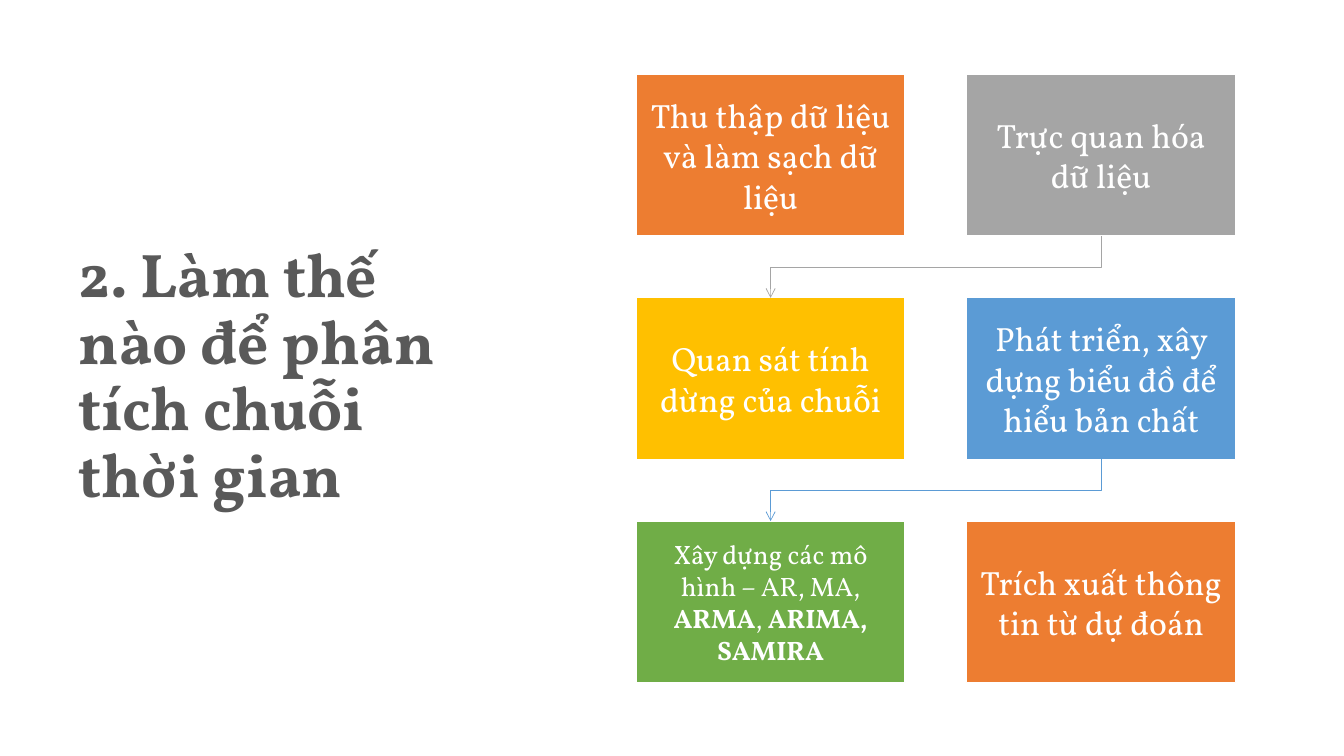
from pptx import Presentation
from pptx import util as u
from pptx.dml.color import RGBColor
from pptx.enum import shapes, text
from pptx.oxml import ns
from lxml import etree

ORANGE = RGBColor(0xED, 0x7D, 0x31)
GRAY = RGBColor(0xA5, 0xA5, 0xA5)
GOLD = RGBColor(0xFF, 0xC0, 0x00)
BLUE = RGBColor(0x5B, 0x9B, 0xD5)
GREEN = RGBColor(0x70, 0xAD, 0x47)
WHITE = RGBColor(0xFF, 0xFF, 0xFF)
DARK = RGBColor(0x59, 0x59, 0x59)
FONT = "Vollkorn"

STEPS = [
    (ORANGE, 24, [("Thu thập dữ liệu và làm sạch dữ liệu", False)]),
    (GRAY, 24, [("Trực quan hóa dữ liệu", False)]),
    (GOLD, 24, [("Quan sát tính dừng của chuỗi", False)]),
    (BLUE, 24, [("Phát triển, xây dựng biểu đồ để hiểu bản chất", False)]),
    (GREEN, 19, [("Xây dựng các mô hình – AR, MA, ", False), ("ARMA", True),
                 (", ", False), ("ARIMA, SAMIRA", True)]),
    (ORANGE, 24, [("Trích xuất thông tin từ dự đoán", False)]),
]


def add_run(paragraph, wording, size, color, bold):
    run = paragraph.add_run()
    run.text = wording
    run.font.name = FONT
    run.font.size = u.Pt(size)
    run.font.bold = bold
    run.font.color.rgb = color


def add_heading(slide, left, top, width, height):
    heading = slide.shapes.title
    heading.left, heading.top = left, top
    heading.width, heading.height = width, height
    frame = heading.text_frame
    frame.word_wrap = True
    frame.auto_size = text.MSO_AUTO_SIZE.NONE
    frame.vertical_anchor = text.MSO_ANCHOR.MIDDLE
    question = frame.paragraphs[0]
    question.alignment = text.PP_ALIGN.LEFT
    question.line_spacing = 0.9
    add_run(question, "2. Làm thế nào để phân tích chuỗi thời gian", 44, DARK, True)


def add_step(slide, left, top, width, height, color, size, wording):
    step = slide.shapes.add_shape(shapes.MSO_SHAPE.RECTANGLE, left, top, width, height)
    step.shadow.inherit = False
    step.fill.solid()
    step.fill.fore_color.rgb = color
    step.line.color.rgb = WHITE
    step.line.width = u.Pt(1)
    frame = step.text_frame
    frame.word_wrap = True
    frame.vertical_anchor = text.MSO_ANCHOR.MIDDLE
    frame.margin_left = frame.margin_right = u.Cm(0.33)
    frame.margin_top = frame.margin_bottom = u.Cm(0.36)
    label = frame.paragraphs[0]
    label.alignment = text.PP_ALIGN.CENTER
    for words, bold in wording:
        add_run(label, words, size, WHITE, bold)
    return step


def add_turn(slide, start, end, color):
    start_x, start_y = start.left + start.width // 2, start.top + start.height
    end_x, end_y = end.left + end.width // 2, end.top
    middle_x, middle_y = (start_x + end_x) // 2, (start_y + end_y) // 2
    half_drop, half_run = (end_y - start_y) // 2, (start_x - end_x) // 2
    turn = slide.shapes.add_connector(
        shapes.MSO_CONNECTOR.ELBOW, middle_x - half_drop, middle_y - half_run,
        middle_x + half_drop, middle_y + half_run)
    turn.line.color.rgb = color
    turn.line.width = u.Pt(0.5)
    properties = turn._element.spPr
    properties.find(ns.qn("a:xfrm")).set("rot", "5400000")
    etree.SubElement(properties.find(ns.qn("a:ln")), ns.qn("a:tailEnd"), type="arrow")
    etree.SubElement(properties, ns.qn("a:effectLst"))


def add_process(slide, left, top, width, height):
    step_width, step_height = u.Cm(6.78), u.Cm(4.07)
    column_pitch = width - step_width
    row_pitch = (height - step_height) // 2
    steps = []
    for index, (color, size, wording) in enumerate(STEPS):
        row, column = divmod(index, 2)
        steps.append(add_step(slide, left + column * column_pitch, top + row * row_pitch,
                              step_width, step_height, color, size, wording))
    for index in (1, 3):
        add_turn(slide, steps[index], steps[index + 1], STEPS[index][0])


def main():
    deck = Presentation()
    deck.slide_width, deck.slide_height = u.Cm(33.87), u.Cm(19.05)
    slide = deck.slides.add_slide(deck.slide_layouts[5])
    add_heading(slide, u.Cm(1.73), u.Cm(3.23), u.Cm(10.01), u.Cm(12.57))
    add_process(slide, u.Cm(16.03), u.Cm(1.88), u.Cm(15.11), u.Cm(15.32))
    deck.save("out.pptx")


if __name__ == "__main__":
    main()
